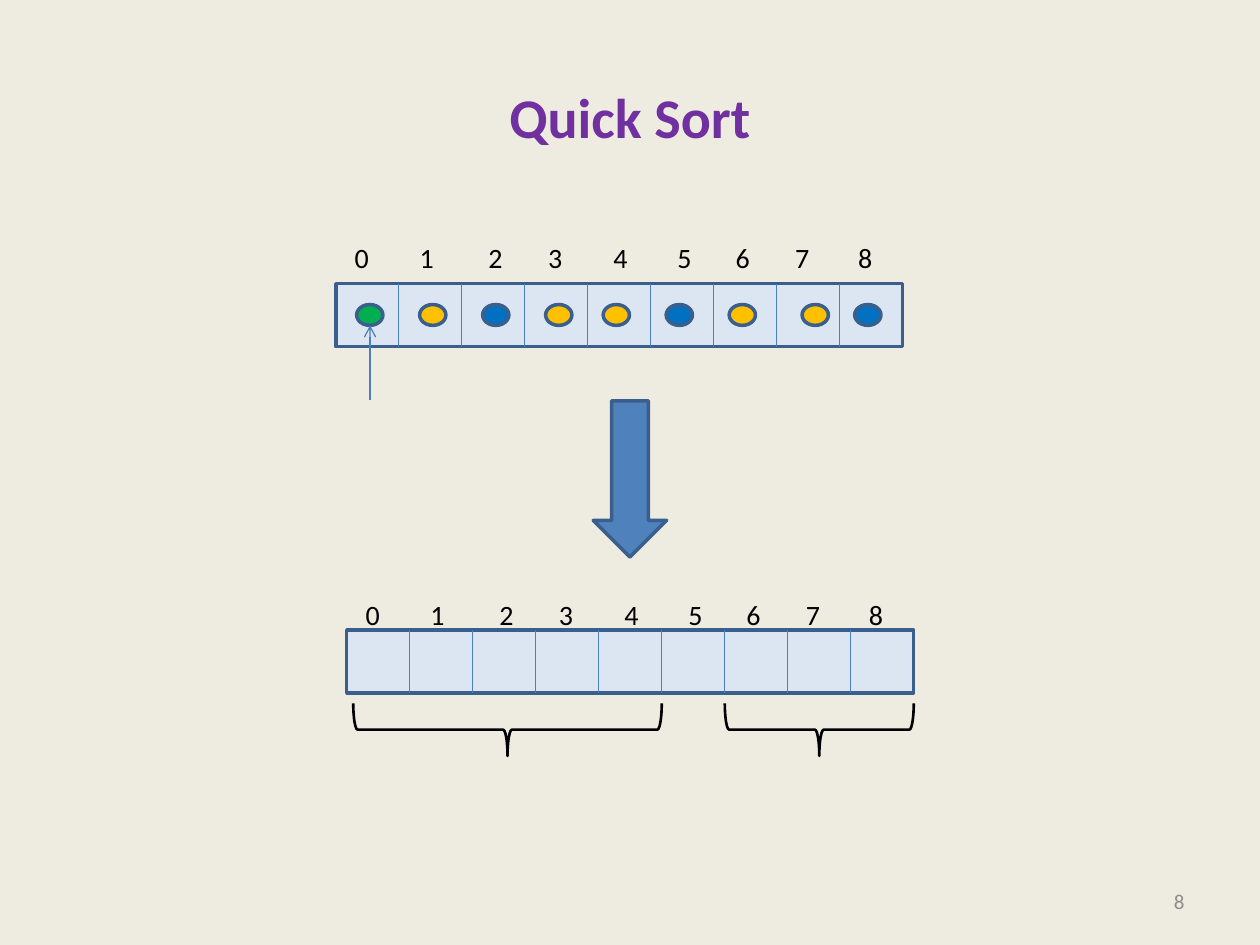
from pptx import Presentation
from pptx.dml.color import RGBColor
from pptx.enum.shapes import MSO_CONNECTOR as CONN, MSO_SHAPE as SHAPE
from pptx.enum.text import MSO_ANCHOR as ANCHOR, PP_ALIGN as ALIGN
from pptx.oxml.ns import qn
from pptx.util import Cm, Pt
from lxml.etree import SubElement

CELLS = 9
CELL = 1.27
ARRAY_W = CELLS * CELL
LABEL_TABS = [1.45, 2.84, 4.04, 5.36, 6.65, 7.82, 9.02, 10.29]
EDGE, DIVIDER = "3A5F8C", "4B7EBC"
PIVOT, SMALLER, LARGER = "00B050", "FFC000", "0070C0"


def color(hex_code):
    return RGBColor.from_string(hex_code)


def write(tf, text, size=16, fill="000000", bold=False, align=ALIGN.LEFT,
          anchor=ANCHOR.TOP, wrap=True, tabs=()):
    tf.word_wrap = wrap
    tf.vertical_anchor = anchor
    p = tf.paragraphs[0]
    p.alignment = align
    if tabs:
        tab_list = SubElement(p._p.get_or_add_pPr(), qn("a:tabLst"))
        for pos in tabs:
            SubElement(tab_list, qn("a:tab"), pos=str(Cm(pos)), algn="ctr")
    r = p.add_run()
    r.text = text
    r.font.name = "Calibri"
    r.font.size = Pt(size)
    r.font.bold = bold
    r.font.color.rgb = color(fill)


def add_shape(slide, kind, x, y, w, h, fill=None, line=EDGE, width=2):
    sp = slide.shapes.add_shape(kind, Cm(x), Cm(y), Cm(w), Cm(h))
    sp.shadow.inherit = False
    if fill:
        sp.fill.solid()
        sp.fill.fore_color.rgb = color(fill)
    else:
        sp.fill.background()
    sp.line.color.rgb = color(line)
    sp.line.width = Pt(width)
    return sp


def add_line(slide, x1, y1, x2, y2, arrow=False):
    line = slide.shapes.add_connector(CONN.STRAIGHT, Cm(x1), Cm(y1), Cm(x2), Cm(y2))
    line.line.color.rgb = color(DIVIDER)
    line.line.width = Pt(0.75)
    if arrow:
        SubElement(line.line._get_or_add_ln(), qn("a:tailEnd"), type="arrow")
    SubElement(line._element.spPr, qn("a:effectLst"))


def add_title(slide, x, y, w, h):
    title = slide.shapes.title
    title.left, title.top, title.width, title.height = Cm(x), Cm(y), Cm(w), Cm(h)
    write(title.text_frame, "Quick Sort", size=32, fill="7030A0", bold=True,
          align=ALIGN.CENTER, anchor=ANCHOR.MIDDLE)


def add_array(slide, x, y, label_rise):
    add_shape(slide, SHAPE.RECTANGLE, x, y, ARRAY_W, CELL, "DCE6F2")
    for i in range(1, CELLS):
        add_line(slide, x + i * CELL, y, x + i * CELL, y + CELL)
    labels = slide.shapes.add_textbox(Cm(x), Cm(y - label_rise), Cm(ARRAY_W), Cm(1.02))
    tf = labels.text_frame
    tf.margin_left, tf.margin_top = Cm(0.38), Cm(0.19)
    write(tf, "\t".join(str(i) for i in range(CELLS)), wrap=False, tabs=LABEL_TABS)


def add_items(slide, x, y):
    items = [(0.42, PIVOT), (1.69, SMALLER), (2.96, LARGER), (4.23, SMALLER),
             (5.39, SMALLER), (6.66, LARGER), (7.93, SMALLER), (9.4, SMALLER),
             (10.46, LARGER)]
    for dx, fill in items:
        add_shape(slide, SHAPE.OVAL, x + dx, y + 0.42, 0.53, 0.42, fill)
    pivot_x = x + items[0][0] + 0.27
    add_line(slide, pivot_x, y + 2.34, pivot_x, y + 0.84, arrow=True)


def add_brace(slide, x, y, w, h):
    sp = add_shape(slide, SHAPE.RIGHT_BRACE, x + (w - h) / 2, y + (h - w) / 2, h, w,
                   line="000000", width=1.5)
    sp.rotation = 90


def add_page_number(slide, x, y, w, h):
    box = slide.shapes.add_textbox(Cm(x), Cm(y), Cm(w), Cm(h))
    write(box.text_frame, "8", size=12, fill="8C8C8C", align=ALIGN.RIGHT,
          anchor=ANCHOR.MIDDLE)


def main():
    prs = Presentation()
    prs.slide_width, prs.slide_height = Cm(25.4), Cm(19.05)
    slide = prs.slides.add_slide(prs.slide_layouts[5])
    slide.background.fill.solid()
    slide.background.fill.fore_color.rgb = color("EEECE1")

    add_title(slide, 1.27, 0.76, 22.86, 3.18)
    add_array(slide, 6.77, 5.72, label_rise=1.06)
    add_items(slide, 6.77, 5.72)
    add_shape(slide, SHAPE.DOWN_ARROW, 11.96, 8.08, 1.48, 3.15, "4F81BD")
    add_array(slide, 6.99, 12.7, label_rise=0.85)
    add_brace(slide, 7.12, 14.18, 6.22, 1.06)
    add_brace(slide, 14.61, 14.18, 3.81, 1.06)
    add_page_number(slide, 18.2, 17.66, 5.93, 1.01)

    prs.save("out.pptx")


if __name__ == "__main__":
    main()
